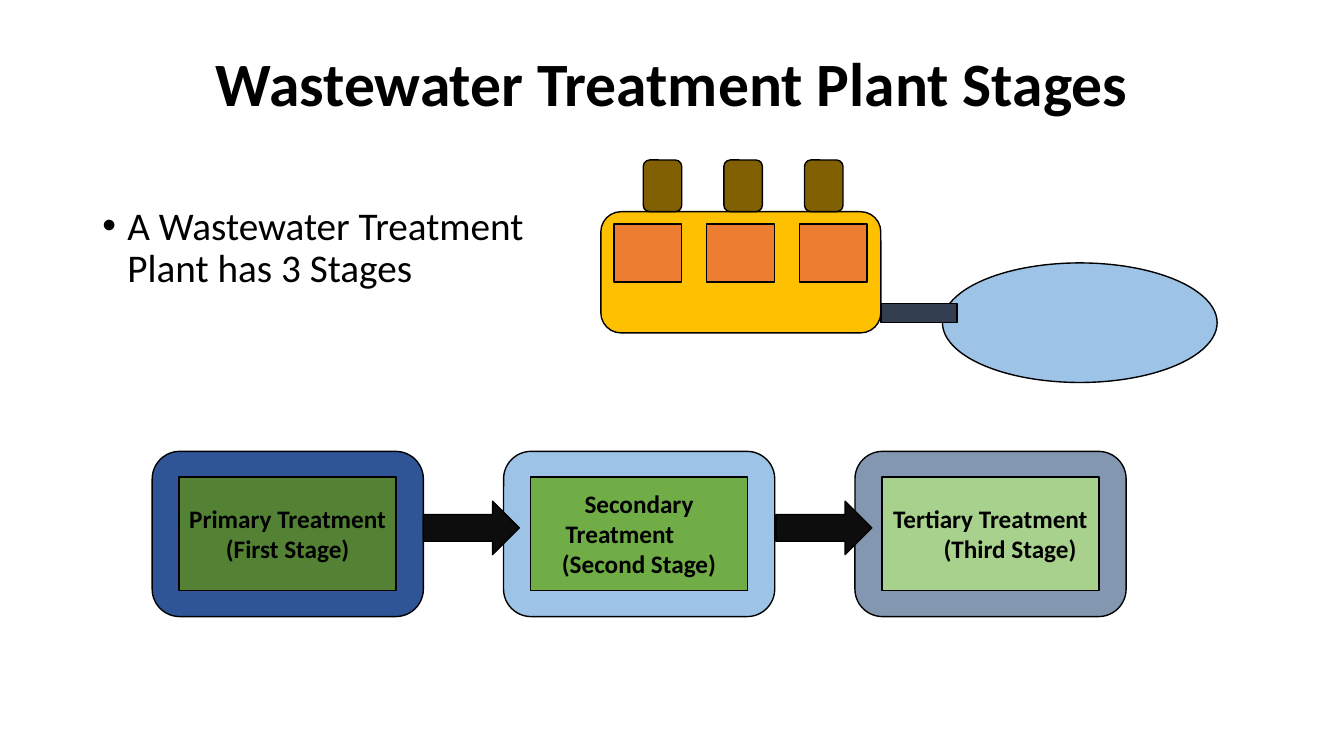
from typing import NamedTuple

from lxml import etree
from pptx import Presentation
from pptx.dml.color import RGBColor
from pptx.enum.shapes import MSO_SHAPE
from pptx.enum.text import MSO_ANCHOR, PP_ALIGN
from pptx.oxml.ns import qn
from pptx.util import Pt

RECTANGLE = MSO_SHAPE.RECTANGLE
ROUNDED = MSO_SHAPE.ROUNDED_RECTANGLE
ELLIPSE = MSO_SHAPE.OVAL
ARROW = MSO_SHAPE.RIGHT_ARROW
LEFT, CENTER = PP_ALIGN.LEFT, PP_ALIGN.CENTER
MIDDLE = MSO_ANCHOR.MIDDLE

FONT = "Calibri"
BLACK = RGBColor(0x00, 0x00, 0x00)
NEAR_BLACK = RGBColor(0x0D, 0x0D, 0x0D)
GOLD = RGBColor(0xFF, 0xC0, 0x00)
BROWN = RGBColor(0x80, 0x60, 0x00)
ORANGE = RGBColor(0xED, 0x7D, 0x31)
LIGHT_BLUE = RGBColor(0x9D, 0xC3, 0xE6)
SLATE = RGBColor(0x33, 0x3F, 0x50)
DARK_BLUE = RGBColor(0x2F, 0x55, 0x97)
GRAY_BLUE = RGBColor(0x84, 0x97, 0xB0)
DARK_GREEN = RGBColor(0x54, 0x82, 0x35)
GREEN = RGBColor(0x70, 0xAD, 0x47)
LIGHT_GREEN = RGBColor(0xA9, 0xD1, 0x8E)


class Box(NamedTuple):
    left: float
    top: float
    width: float
    height: float

    def shifted(self, distance: float) -> "Box":
        return self._replace(left=self.left + distance)

    def lengths(self) -> list[Pt]:
        return [Pt(value) for value in self]


class Line(NamedTuple):
    text: str
    indent: float = 0
    align: PP_ALIGN = CENTER


class Stage(NamedTuple):
    frame_color: RGBColor
    label_color: RGBColor
    lines: list[Line]


STAGES = [
    Stage(DARK_BLUE, DARK_GREEN,
          [Line("Primary Treatment"), Line("(First Stage)")]),
    Stage(LIGHT_BLUE, GREEN,
          [Line("Secondary"), Line("Treatment", 25, LEFT), Line("(Second Stage)")]),
    Stage(GRAY_BLUE, LIGHT_GREEN,
          [Line("Tertiary Treatment"), Line("(Third Stage)", 28)]),
]
STAGE_FRAME = Box(108.7, 322.4, 193.7, 118)
STAGE_LABEL = Box(128, 340.7, 155, 81)
STAGE_PITCH = 251
STAGE_ARROW = Box(302.4, 358, 68.6, 38.2)
ARROW_PITCH = 251.8

BUILDING = Box(429.2, 151.2, 200, 86.6)
CHIMNEY = Box(459.5, 114.3, 27.5, 36.9)
CHIMNEY_PITCH = 57.6
WINDOW = Box(438.6, 160, 48.4, 41.5)
WINDOW_PITCH = 66.2
LAKE = Box(673.2, 187.8, 196.2, 85.4)
PIPE = Box(629.2, 216.6, 54.3, 13.7)

deck = Presentation()
deck.slide_width, deck.slide_height = Pt(960), Pt(540)
page = deck.slides.add_slide(deck.slide_layouts[6])


def add_block(kind: MSO_SHAPE, box: Box, color: RGBColor):
    block = page.shapes.add_shape(kind, *box.lengths())
    block.shadow.inherit = False
    block.fill.solid()
    block.fill.fore_color.rgb = color
    block.line.color.rgb = BLACK
    block.line.width = Pt(1)
    return block


def add_text_box(box: Box):
    frame = page.shapes.add_textbox(*box.lengths()).text_frame
    frame.word_wrap = True
    return frame


def write(para, text: str, size: float, bold: bool = False) -> None:
    para.text = text
    for span in para.runs:
        span.font.name = FONT
        span.font.size = Pt(size)
        span.font.bold = bold
        span.font.color.rgb = BLACK


def add_label(box: Box, color: RGBColor, lines: list[Line]) -> None:
    frame = add_block(RECTANGLE, box, color).text_frame
    frame.word_wrap = True
    frame.vertical_anchor = MIDDLE
    frame.margin_left = frame.margin_right = 0
    for index, line in enumerate(lines):
        para = frame.add_paragraph() if index else frame.paragraphs[0]
        write(para, line.text, 18, bold=True)
        para.alignment = line.align
        para._p.get_or_add_pPr().set("marL", str(Pt(line.indent)))


# Title
title = add_text_box(Box(66, 28.75, 828, 66.25))
title.vertical_anchor = MIDDLE
heading = title.paragraphs[0]
write(heading, "Wastewater Treatment Plant Stages", 44, bold=True)
heading.alignment = CENTER
heading.line_spacing = 0.9

# Bullet
bullet = add_text_box(Box(66, 144, 345.6, 129.6)).paragraphs[0]
write(bullet, "A Wastewater Treatment Plant has 3 Stages", 28)
bullet.line_spacing = 0.9
bullet.space_before = Pt(10)
properties = bullet._p.get_or_add_pPr()
properties.set("marL", str(Pt(18)))
properties.set("indent", str(Pt(-18)))
etree.SubElement(properties, qn("a:buFont")).set("typeface", "Arial")
etree.SubElement(properties, qn("a:buChar")).set("char", "•")

# Treatment plant with chimneys and windows
add_block(ROUNDED, BUILDING, GOLD)
for index in range(3):
    add_block(ROUNDED, CHIMNEY.shifted(index * CHIMNEY_PITCH), BROWN)
    add_block(RECTANGLE, WINDOW.shifted(index * WINDOW_PITCH), ORANGE)

# Lake and outlet pipe
add_block(ELLIPSE, LAKE, LIGHT_BLUE)
add_block(RECTANGLE, PIPE, SLATE)

# Treatment stages
for index, stage in enumerate(STAGES):
    offset = index * STAGE_PITCH
    add_block(ROUNDED, STAGE_FRAME.shifted(offset), stage.frame_color)
    add_label(STAGE_LABEL.shifted(offset), stage.label_color, stage.lines)

# Arrows between the stages
for index in range(len(STAGES) - 1):
    add_block(ARROW, STAGE_ARROW.shifted(index * ARROW_PITCH), NEAR_BLACK)

deck.save("out.pptx")
